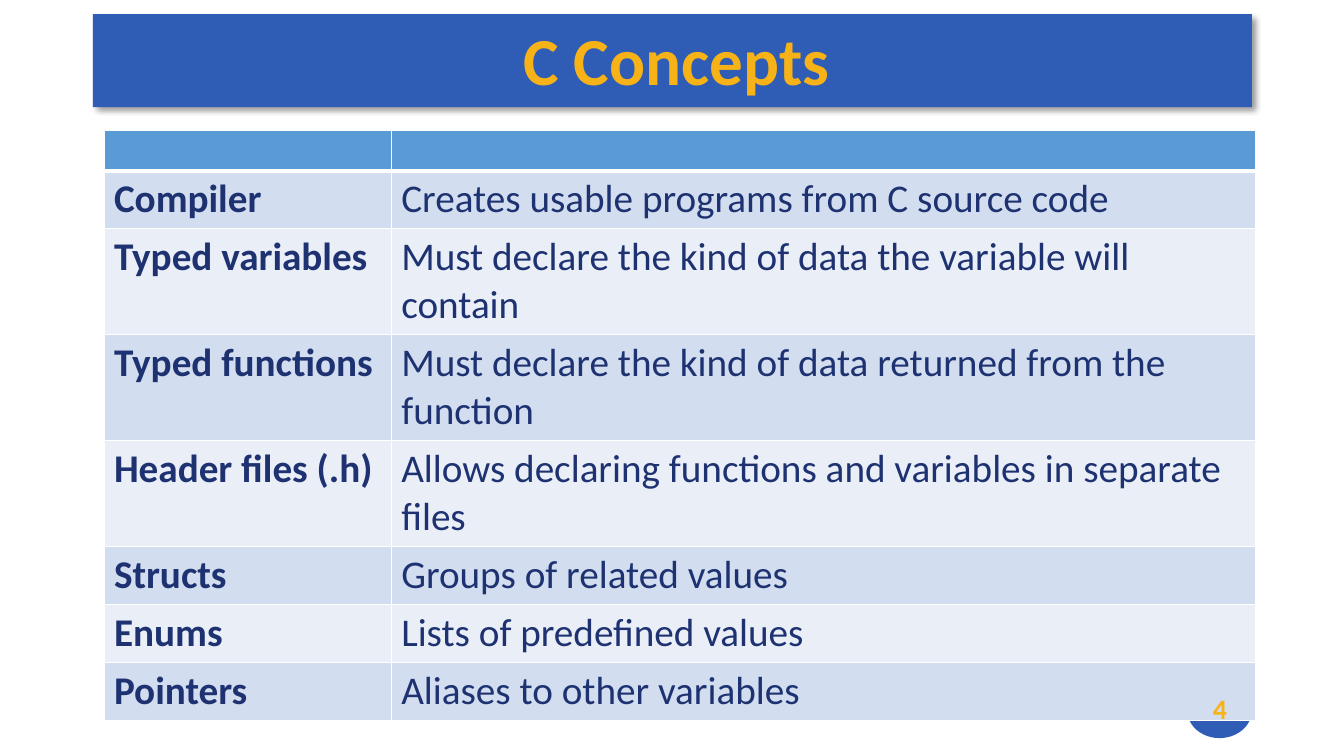
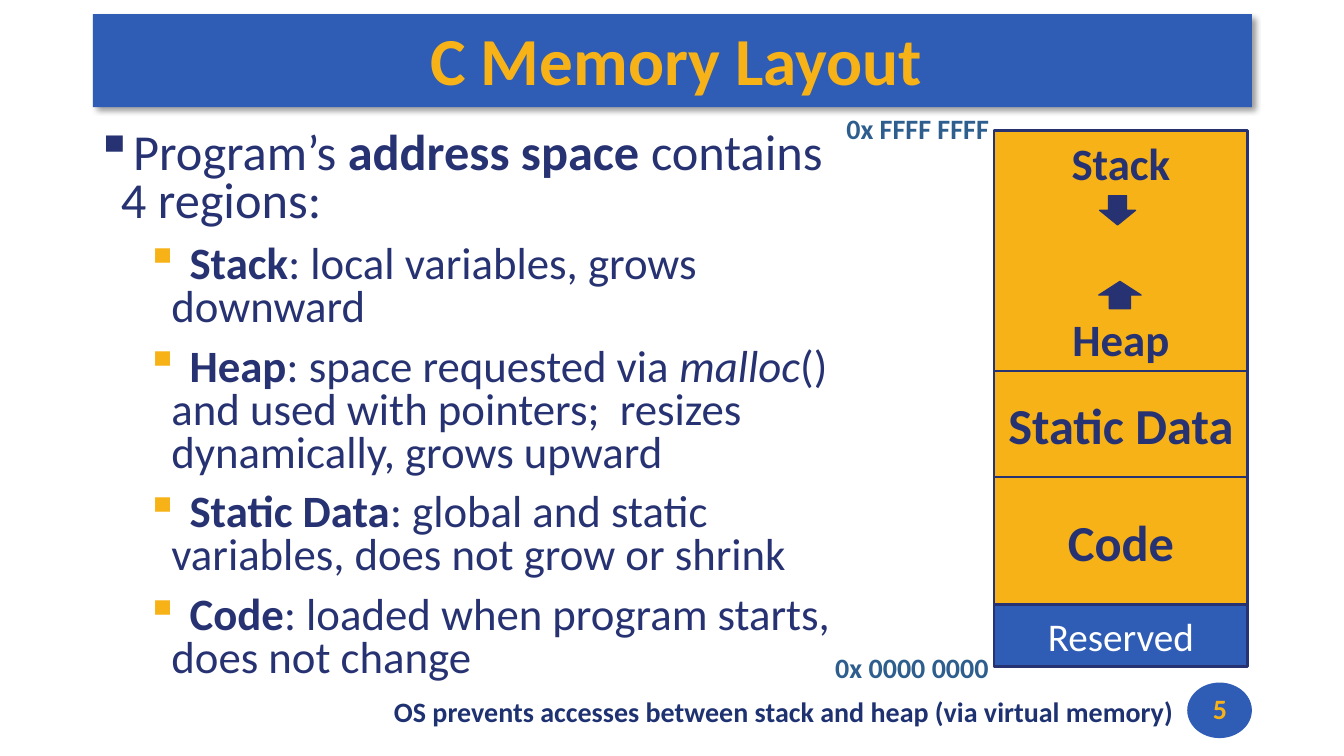
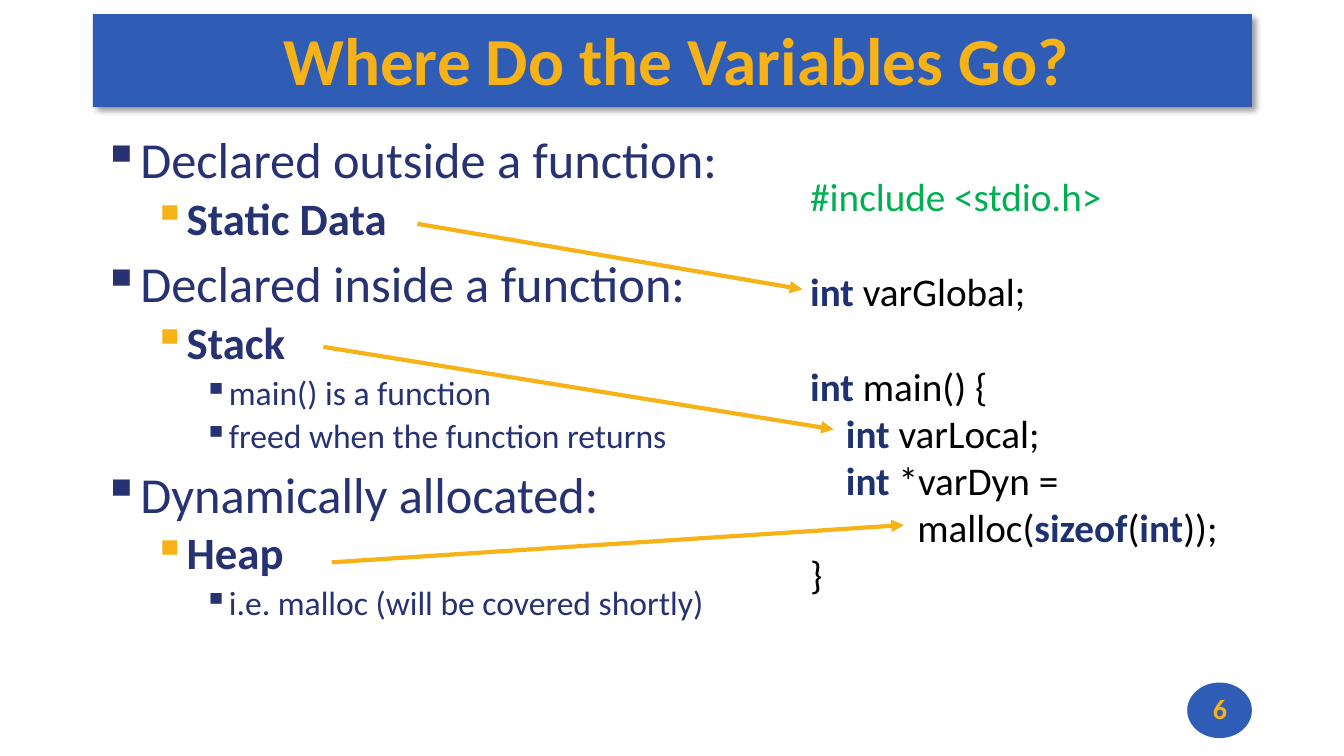
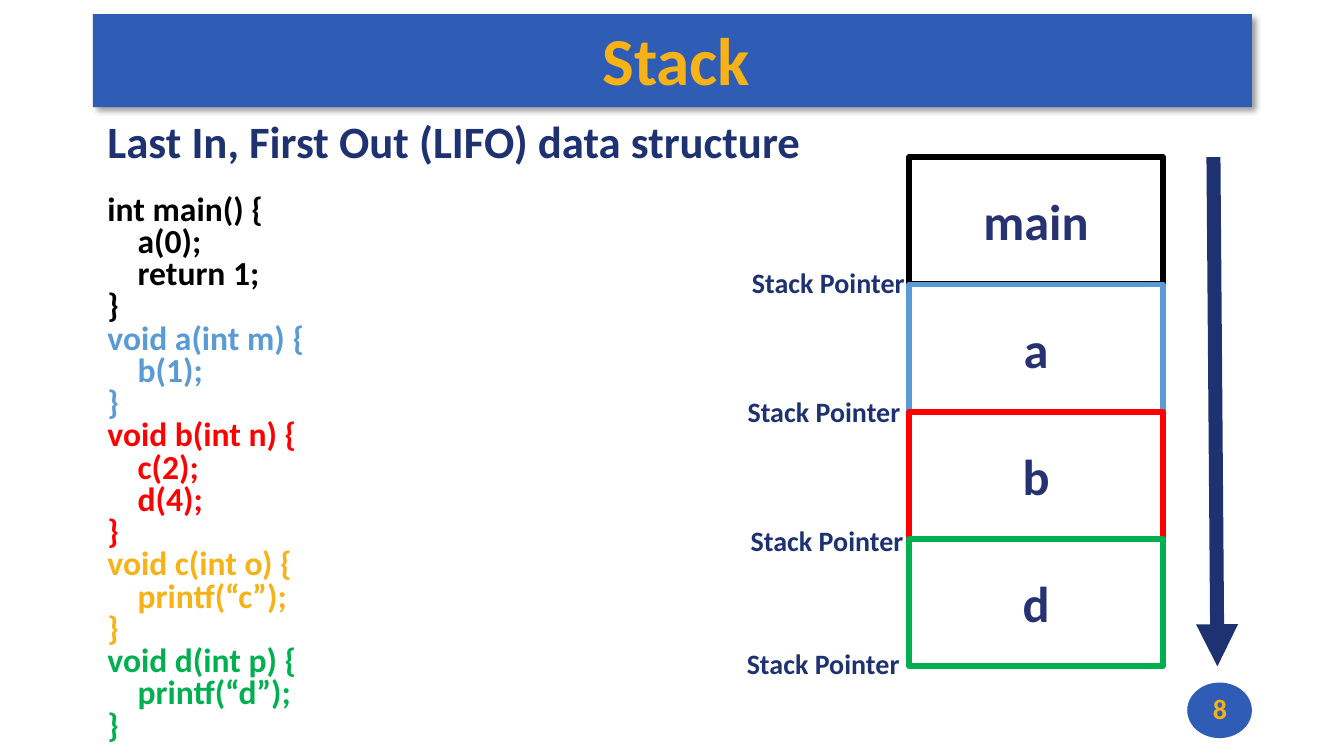
from typing import NamedTuple, Optional

from lxml import etree
from pptx import Presentation
from pptx.dml.color import RGBColor
from pptx.enum.shapes import MSO_CONNECTOR, MSO_SHAPE
from pptx.enum.text import MSO_ANCHOR, PP_ALIGN
from pptx.oxml.ns import qn
from pptx.util import Cm, Pt

RECTANGLE, ELLIPSE = MSO_SHAPE.RECTANGLE, MSO_SHAPE.OVAL
DOWN_ARROW, UP_ARROW = MSO_SHAPE.DOWN_ARROW, MSO_SHAPE.UP_ARROW
STRAIGHT = MSO_CONNECTOR.STRAIGHT
CENTER, LEFT = PP_ALIGN.CENTER, PP_ALIGN.LEFT
MIDDLE, TOP = MSO_ANCHOR.MIDDLE, MSO_ANCHOR.TOP

BLUE = RGBColor(0x2F, 0x5C, 0xB5)
GOLD = RGBColor(0xF7, 0xB2, 0x17)
NAVY = RGBColor(0x27, 0x32, 0x72)
DEEP_NAVY = RGBColor(0x1E, 0x32, 0x72)
STEEL = RGBColor(0x2E, 0x5E, 0x8E)
SKY = RGBColor(0x5B, 0x9B, 0xD5)
PALE_BLUE = RGBColor(0xD2, 0xDE, 0xEF)
PALEST_BLUE = RGBColor(0xEA, 0xEF, 0xF7)
RED = RGBColor(0xFF, 0, 0)
GREEN = RGBColor(0, 0xB0, 0x50)
BLACK = RGBColor(0, 0, 0)
WHITE = RGBColor(0xFF, 0xFF, 0xFF)

FONT = "Calibri"
TIGHT_INSETS = (0.2, 0.08, 0, 0.08)
DEFAULT_INSETS = (0.25, 0.13, 0.25, 0.13)
# Size, bullet colour and left edge of each outline level
LEVELS = [(36, NAVY, 0.64), (32, GOLD, 1.91), (24, NAVY, 3.18)]
HANGING = 0.64


class Run(NamedTuple):
    text: str
    bold: bool = False
    italic: bool = False
    color: Optional[RGBColor] = None


# Text

def add_paragraph(text_frame, runs, size, color, align=LEFT, before=0,
                  spacing=None, margin=0, indent=0):
    paragraph = text_frame.paragraphs[0]
    if paragraph.runs:
        paragraph = text_frame.add_paragraph()
    paragraph.alignment = align
    paragraph.space_before = Pt(before)
    if spacing:
        paragraph.line_spacing = spacing
    properties = paragraph._p.get_or_add_pPr()
    properties.set("marL", str(Cm(margin)))
    properties.set("indent", str(Cm(indent)))
    for part in runs:
        run = paragraph.add_run()
        run.text = part.text
        run.font.name = FONT
        run.font.size = Pt(size)
        run.font.bold = part.bold
        run.font.italic = part.italic
        run.font.color.rgb = part.color or color
    return paragraph


def add_bullet(text_frame, level, runs, before, spacing):
    size, bullet_color, margin = LEVELS[level]
    paragraph = add_paragraph(text_frame, runs, size, NAVY, before=before,
                              spacing=spacing, margin=margin, indent=-HANGING)
    properties = paragraph._p.get_or_add_pPr()
    color = etree.SubElement(properties, qn("a:buClr"))
    etree.SubElement(color, qn("a:srgbClr"), val=str(bullet_color))
    etree.SubElement(properties, qn("a:buChar"), char="▪")


def prepare_frame(shape, anchor, insets):
    frame = shape.text_frame
    frame.word_wrap = True
    frame.vertical_anchor = anchor
    (frame.margin_left, frame.margin_top,
     frame.margin_right, frame.margin_bottom) = map(Cm, insets)
    return frame


def add_text_box(slide, at, anchor=TOP, insets=DEFAULT_INSETS):
    return prepare_frame(slide.shapes.add_textbox(*map(Cm, at)), anchor, insets)


def add_label(slide, at, text, color):
    frame = add_text_box(slide, at, MIDDLE, TIGHT_INSETS)
    add_paragraph(frame, [Run(text, True)], 20, color)


# Shapes

def add_shape(slide, kind, at, fill, line=None, line_width=2):
    shape = slide.shapes.add_shape(kind, *map(Cm, at))
    shape.shadow.inherit = False
    shape.fill.solid()
    shape.fill.fore_color.rgb = fill
    if line is None:
        shape.line.fill.background()
    else:
        shape.line.color.rgb = line
        shape.line.width = Pt(line_width)
    return shape


def add_box(slide, at, text, fill=WHITE, line=NAVY, line_width=2,
            size=36, color=NAVY, bold=True):
    shape = add_shape(slide, RECTANGLE, at, fill, line, line_width)
    frame = prepare_frame(shape, MIDDLE, DEFAULT_INSETS)
    add_paragraph(frame, [Run(text, bold)], size, color, CENTER)
    return frame


def add_arrow(slide, start, end, color, width):
    connector = slide.shapes.add_connector(STRAIGHT, *map(Cm, start + end))
    connector.line.color.rgb = color
    connector.line.width = Pt(width)
    properties = connector.element.spPr
    etree.SubElement(properties.find(qn("a:ln")), qn("a:tailEnd"), type="triangle")
    etree.SubElement(properties, qn("a:effectLst"))


def add_drop_shadow(shape):
    effects = shape.element.spPr.find(qn("a:effectLst"))
    shadow = etree.SubElement(effects, qn("a:outerShdw"), blurRad=str(Pt(4)),
                              dist=str(Pt(3)), dir="2700000", algn="tl")
    color = etree.SubElement(shadow, qn("a:srgbClr"), val=str(BLACK))
    etree.SubElement(color, qn("a:alpha"), val="40000")


# Shared frame: title band and page badge

def start_slide(presentation, title):
    slide = presentation.slides.add_slide(presentation.slide_layouts[6])
    band = add_shape(slide, RECTANGLE, (2.34, 0.36, 29.21, 2.34), BLUE)
    add_drop_shadow(band)
    add_shape(slide, ELLIPSE, (29.92, 17.2, 1.63, 1.4), BLUE)
    frame = add_text_box(slide, (2.34, 0.3, 29.21, 2.34), MIDDLE, TIGHT_INSETS)
    add_paragraph(frame, [Run(title, True)], 48, GOLD, CENTER)
    return slide


def add_page_number(slide, number):
    frame = add_text_box(slide, (29.92, 17.2, 1.65, 1.32), MIDDLE)
    add_paragraph(frame, [Run(str(number), True)], 20, GOLD, CENTER)


# Table

def style_cell(cell, fill, bottom_width=1, top_width=1):
    cell.fill.solid()
    cell.fill.fore_color.rgb = fill
    properties = cell._tc.get_or_add_tcPr()
    widths = {"a:lnL": 1, "a:lnR": 1, "a:lnT": top_width, "a:lnB": bottom_width}
    for position, (side, width) in enumerate(widths.items()):
        border = etree.Element(qn(side), w=str(Pt(width)))
        solid = etree.SubElement(border, qn("a:solidFill"))
        etree.SubElement(solid, qn("a:srgbClr"), val=str(WHITE))
        properties.insert(position, border)


def add_concept_table(slide, concepts):
    heights = [1.02] + [2.67 if len(text) > 45 else 1.46 for _, text in concepts]
    widths = [7.24, 21.77]
    table = slide.shapes.add_table(
        len(heights), len(widths), Cm(2.62), Cm(3.28),
        Cm(sum(widths)), Cm(sum(heights))).table
    for column, width in zip(table.columns, widths):
        column.width = Cm(width)
    for row, height in zip(table.rows, heights):
        row.height = Cm(height)
    for cell in table.rows[0].cells:
        style_cell(cell, SKY, bottom_width=3)
    for index, texts in enumerate(concepts, 1):
        fill = PALE_BLUE if index % 2 else PALEST_BLUE
        for column, text in enumerate(texts):
            cell = table.cell(index, column)
            style_cell(cell, fill, top_width=3 if index == 1 else 1)
            add_paragraph(cell.text_frame, [Run(text, column == 0)], 28, DEEP_NAVY)


# Slides

def build_concepts(presentation):
    slide = start_slide(presentation, "C Concepts")
    add_concept_table(slide, [
        ("Compiler", "Creates usable programs from C source code"),
        ("Typed variables", "Must declare the kind of data the variable will contain"),
        ("Typed functions", "Must declare the kind of data returned from the function"),
        ("Header files (.h)", "Allows declaring functions and variables in separate files"),
        ("Structs", "Groups of related values"),
        ("Enums", "Lists of predefined values"),
        ("Pointers", "Aliases to other variables"),
    ])
    add_page_number(slide, 4)


def build_memory_layout(presentation):
    slide = start_slide(presentation, "C Memory Layout")
    body = add_text_box(slide, (2.16, 3.18, 19.2, 14.2))
    outline = [
        (0, [Run("Program’s "), Run("address space ", True), Run("contains 4 regions:")]),
        (1, [Run(" Stack", True), Run(": local variables, grows downward")]),
        (1, [Run(" Heap", True), Run(": space requested via "),
             Run("malloc", italic=True),
             Run("() and used with pointers;  resizes dynamically, grows upward")]),
        (1, [Run(" Static Data", True),
             Run(": global and static variables, does not grow or shrink")]),
        (1, [Run(" Code", True), Run(": loaded when program starts, does not change")]),
    ]
    for level, runs in outline:
        add_bullet(body, level, runs, before=12, spacing=0.8)
    add_page_number(slide, 5)

    # Memory regions, from the highest address down
    left, top, width = 25.05, 3.28, 6.4
    regions = [
        ("Stack", 6.07, dict(fill=GOLD, size=32)),
        ("Static Data", 2.67, dict(fill=GOLD)),
        ("Code", 3.22, dict(fill=GOLD)),
        ("Reserved", 1.55, dict(fill=BLUE, size=28, color=WHITE, bold=False)),
    ]
    for name, height, style in regions:
        frame = add_box(slide, (left, top, width, height), name, **style)
        if name == "Stack":
            add_paragraph(frame, [Run("Heap", True)], 32, NAVY, CENTER, before=88)
        top += height
    add_shape(slide, DOWN_ARROW, (27.71, 4.93, 0.91, 0.74), NAVY, NAVY, 0.85)
    add_shape(slide, UP_ARROW, (27.69, 7.09, 1.07, 0.69), NAVY, NAVY, 0.85)

    # Address labels and closing remark
    add_label(slide, (20.85, 16.03, 4.37, 1.55), "0x 0000 0000", STEEL)
    add_label(slide, (21.13, 2.46, 4.14, 1.55), "0x FFFF FFFF", STEEL)
    remark = add_text_box(slide, (9.68, 17.37, 21.79, 1.12))
    add_paragraph(remark, [Run(
        "OS prevents accesses between stack and heap (via virtual memory)", True)],
        20, DEEP_NAVY)


def build_variables(presentation):
    slide = start_slide(presentation, "Where Do the Variables Go?")
    body = add_text_box(slide, (2.34, 3.28, 18.59, 13.89))
    outline = [
        (0, "Declared outside a function:"),
        (1, "Static Data"),
        (0, "Declared inside a function:"),
        (1, "Stack"),
        (2, "main() is a function"),
        (2, "freed when the function returns"),
        (0, "Dynamically allocated:"),
        (1, "Heap"),
        (2, "i.e. malloc (will be covered shortly)"),
    ]
    for level, text in outline:
        add_bullet(body, level, [Run(text, level == 1)],
                   before=5 if level else 10, spacing=0.9)
    add_page_number(slide, 6)

    # Code sample: space before, indent, runs
    def keyword(text):
        return Run(text, True, color=DEEP_NAVY)

    line_gap = 34
    code = add_text_box(slide, (20.17, 4.22, 11.25, 11.02))
    code_lines = [
        (0, 0, [Run("#include <stdio.h>", color=GREEN)]),
        (line_gap, 0, [keyword("int "), Run("varGlobal;")]),
        (line_gap, 0, [keyword("int"), Run(" main() {")]),
        (0, 0.9, [keyword("int "), Run("varLocal;")]),
        (0, 0.9, [keyword("int"), Run(" *varDyn =")]),
        (0, 2.7, [Run("malloc("), keyword("sizeof"), Run("("),
                  keyword("int"), Run("));")]),
        (0, 0, [Run("}")]),
    ]
    for before, margin, runs in code_lines:
        add_paragraph(code, runs, 28, BLACK, before=before, margin=margin)

    # Arrows from each region to its variable
    for start, end in [((8.36, 14.17), (22.78, 13.23)),
                       ((10.52, 5.64), (20.22, 7.29)),
                       ((8.15, 8.74), (21.01, 10.82))]:
        add_arrow(slide, start, end, GOLD, 3)


def build_stack(presentation):
    slide = start_slide(presentation, "Stack")
    body = add_text_box(slide, (2.46, 3, 18.69, 15.72))
    add_paragraph(body, [Run("Last In, First Out (LIFO) data structure", True)],
                  32, DEEP_NAVY, spacing=0.8)
    functions = [
        (BLACK, "int main() {", ["a(0);", "return 1;"]),
        (SKY, "void a(int m) {", ["b(1);"]),
        (RED, "void b(int n) {", ["c(2);", "d(4);"]),
        (GOLD, "void c(int o) {", ["printf(“c”);"]),
        (GREEN, "void d(int p) {", ["printf(“d”);"]),
    ]
    for index, (color, opening, statements) in enumerate(functions):
        lines = [(opening, 0)] + [(text, 0.76) for text in statements] + [("}", 0)]
        for text, margin in lines:
            starts_code = index == 0 and text == opening
            add_paragraph(body, [Run(text, True)], 24, color, spacing=0.8,
                          before=20 if starts_code else 0, margin=margin)
    add_page_number(slide, 8)

    # Stack frames
    frames = [("main", BLACK), ("a", SKY), ("b", RED), ("d", GREEN)]
    for index, (name, color) in enumerate(frames):
        add_box(slide, (22.91, 3.96 + index * 3.21, 6.4, 3.2), name,
                line=color, line_width=4)

    # Stack pointer labels and growth direction
    for left, top in [(18.62, 15.95), (18.72, 12.83), (18.64, 9.6), (18.75, 6.35)]:
        add_label(slide, (left, top, 4.14, 1.55), "Stack Pointer", DEEP_NAVY)
    add_arrow(slide, (30.58, 3.96), (30.68, 16.79), DEEP_NAVY, 10)


def main():
    presentation = Presentation()
    presentation.slide_width, presentation.slide_height = Cm(33.87), Cm(19.05)
    build_concepts(presentation)
    build_memory_layout(presentation)
    build_variables(presentation)
    build_stack(presentation)
    presentation.save("out.pptx")


if __name__ == "__main__":
    main()
